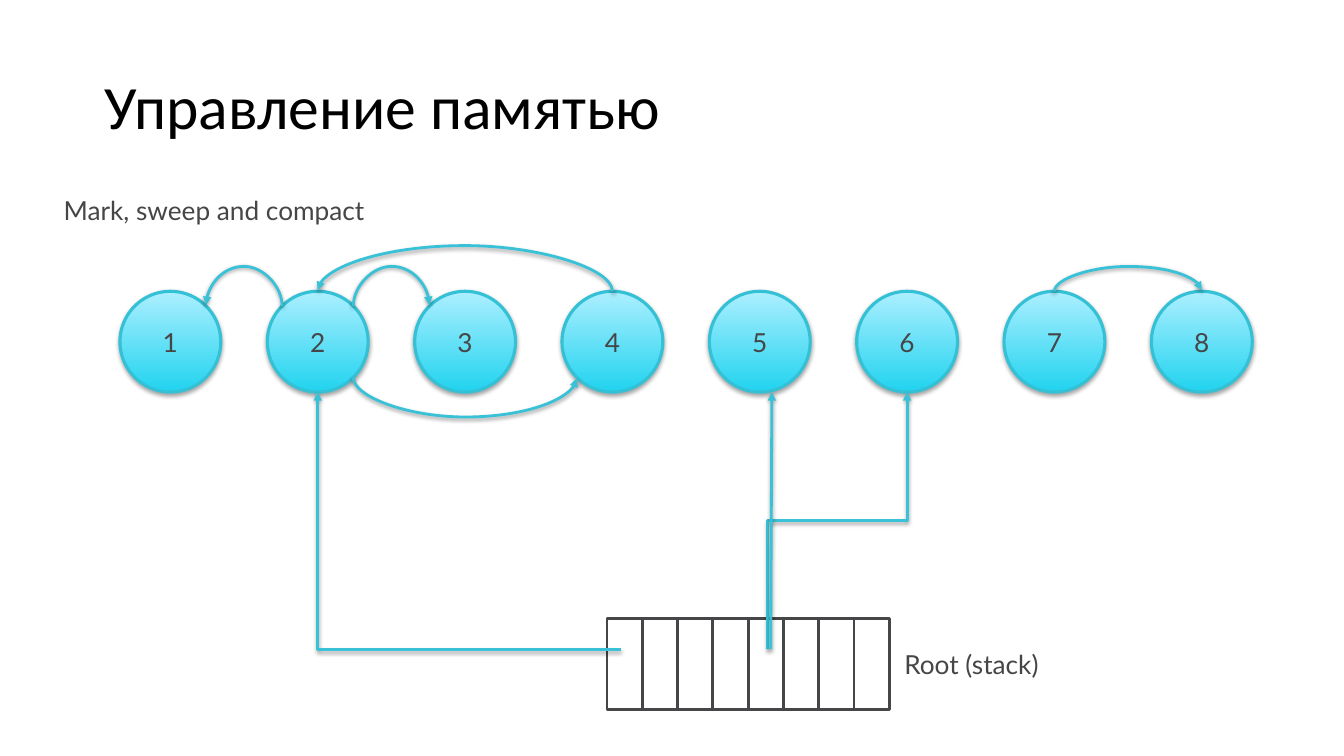
from math import cos, radians, sin
from lxml.etree import SubElement
from pptx import Presentation
from pptx.dml.color import RGBColor
from pptx.enum.shapes import MSO_CONNECTOR as LINK, MSO_SHAPE as SHAPE
from pptx.enum.text import MSO_ANCHOR, PP_ALIGN
from pptx.oxml.ns import qn
from pptx.util import Inches, Pt

WIDE, HIGH = 13.33, 7.5
HUES = {"title": "000000", "text": "464547", "cell": "FFFFFF", "low": "21D3EF",
        "high": "ACEFFF", "rim": "34C1D6", "arrow": "39C2D7", "shade": "000000"}
BODY = {"size": Pt(18.7), "name": "Lato"}
HEAD = {"size": Pt(44), "name": "Calibri"}
NODES, CELLS = 8, 8
UP_LEFT, UP_RIGHT, DOWN_RIGHT = (270, "V"), (90, "HV"), (270, "H")
# start node, end node, start angle, end angle, bulge, turn
ARCS = [(2, 1, 225, 315, 0.4, UP_LEFT),
        (2, 3, 315, 225, 0.4, UP_RIGHT),
        (2, 4, 45, 135, 0.4, DOWN_RIGHT),
        (4, 2, 270, 270, 0.46, UP_LEFT),
        (7, 8, 270, 270, 0.25, UP_RIGHT)]


def hue(name):
    return RGBColor.from_string(HUES[name])


def span(*box):
    return [Inches(part) for part in box]


def share(x, y, w, h):
    return x * WIDE, y * HIGH, w * WIDE, h * HIGH


def write(frame, text, look, color, align=PP_ALIGN.LEFT):
    frame.word_wrap = True
    frame.text = text
    line = frame.paragraphs[0]
    line.alignment = align
    font = line.runs[0].font
    for key, value in look.items():
        setattr(font, key, value)
    font.color.rgb = hue(color)
    return line


def stroke(shape, color, width):
    shape.line.color.rgb = hue(color)
    shape.line.width = Pt(width)


def shade(shape, alpha, dist):
    effects = SubElement(shape._element.spPr, qn("a:effectLst"))
    drop = SubElement(effects, qn("a:outerShdw"), blurRad=str(Pt(3.1)),
                      dist=str(Pt(dist)), dir="5400000", rotWithShape="0")
    tint = SubElement(drop, qn("a:srgbClr"), val=HUES["shade"])
    SubElement(tint, qn("a:alpha"), val=str(alpha * 1000))


def heading(slide, box, text):
    title = slide.shapes.title
    title.left, title.top, title.width, title.height = span(*box)
    title.text_frame.vertical_anchor = MSO_ANCHOR.MIDDLE
    write(title.text_frame, text, HEAD, "title").line_spacing = 0.9


def label(slide, box, text):
    frame = slide.shapes.add_textbox(*span(*box)).text_frame
    write(frame, text, BODY, "text")


def stack(slide, box):
    x, y, w, h = box
    group = slide.shapes.add_group_shape()
    step = w / CELLS
    for i in range(CELLS):
        cell = group.shapes.add_shape(SHAPE.RECTANGLE, *span(x + i * step, y, step, h))
        cell.shadow.inherit = False
        cell.fill.solid()
        cell.fill.fore_color.rgb = hue("cell")
        stroke(cell, "text", 2)


def heap(slide, box):
    """Draw the row of numbered objects and return their centres."""
    x, y, w, size = box
    step = (w - size) / (NODES - 1)
    mids = {}
    for i in range(NODES):
        left = x + i * step
        node = slide.shapes.add_shape(SHAPE.OVAL, *span(left, y, size, size))
        node.fill.gradient()
        node.fill.gradient_angle = 90
        for stop, name in zip(node.fill.gradient_stops, ("low", "high")):
            stop.color.rgb = hue(name)
        stroke(node, "rim", 2.25)
        shade(node, 35, 1.8)
        node.text_frame.vertical_anchor = MSO_ANCHOR.MIDDLE
        write(node.text_frame, str(i + 1), BODY, "text", PP_ALIGN.CENTER)
        mids[i + 1] = left + size / 2, y + size / 2
    return mids


def arrow(slide, kind, start, end):
    link = slide.shapes.add_connector(kind, *span(*start, *end))
    stroke(link, "arrow", 2)
    SubElement(link.line._get_or_add_ln(), qn("a:tailEnd"), type="triangle")
    shade(link, 38, 1.6)
    return link


def turned(slide, kind, start, end, turn, preset, bend=None):
    """Arrow whose frame is rotated and flipped; bend is a share of its width."""
    link = arrow(slide, kind, start, end)
    angle, flips = turn
    (ax, ay), (bx, by) = start, end
    w, h = abs(bx - ax), max(abs(by - ay), 0.01)
    if angle % 180:
        w, h = h, w
    link.left, link.top, link.width, link.height = span(
        (ax + bx - w) / 2, (ay + by - h) / 2, w, h)
    link.rotation = 0 if not hasattr(link, "rotation") else angle
    frame = link._element.spPr.find(qn("a:xfrm"))
    for name in ("flipH", "flipV"):
        frame.attrib.pop(name, None)
    frame.set("rot", str(angle * 60000))
    for flip in flips:
        frame.set("flip" + flip, "1")
    shape = link._element.spPr.find(qn("a:prstGeom"))
    shape.set("prst", preset)
    if bend is not None:
        guides = shape.find(qn("a:avLst"))
        SubElement(guides, qn("a:gd"), name="adj1", fmla=f"val {round(bend * 100000)}")


def links(slide, mids, radius):
    def port(node, angle):
        x, y = mids[node]
        turn = radians(angle)
        return x + radius * cos(turn), y + radius * sin(turn)

    for first, last, out, into, bulge, turn in ARCS:
        start, (x, _) = port(first, out), port(last, into)
        rise = 0.01 if turn == DOWN_RIGHT else -0.01
        turned(slide, LINK.CURVE, start, (x, start[1] + rise), turn,
               "curvedConnector3", bulge / 0.01)


def roots(slide, box, mids, radius):
    x, y, w, h = box

    def slot(part):
        return x + part * w, y + h / 3

    def foot(node, shift=0):
        return mids[node][0] + shift, mids[node][1] + radius

    turned(slide, LINK.ELBOW, slot(0.05), foot(2), (180, ""), "bentConnector2")
    turned(slide, LINK.ELBOW, slot(0.57), foot(6), UP_RIGHT, "bentConnector3", 0.5)
    arrow(slide, LINK.STRAIGHT, slot(0.58), foot(5, 0.12))


def memory(deck):
    slide = deck.slides.add_slide(deck.slide_layouts[5])
    row = 1.19, 2.89, 11.23, 1
    cells = 6.02, 6.14, 2.8, 0.9
    radius = row[3] / 2
    heading(slide, share(0.07, 0.05, 0.86, 0.19), "Управление памятью")
    stack(slide, cells)
    mids = heap(slide, row)
    label(slide, share(0.04, 0.25, 0.25, 0.06), "Mark, sweep and compact")
    links(slide, mids, radius)
    roots(slide, cells, mids, radius)
    right = cells[0] + cells[2]
    label(slide, (right + 0.05, cells[1] + 0.24, 1.61, 0.42), "Root (stack)")


def main():
    deck = Presentation()
    deck.slide_width, deck.slide_height = span(WIDE, HIGH)
    memory(deck)
    deck.save("out.pptx")


if __name__ == "__main__":
    main()
